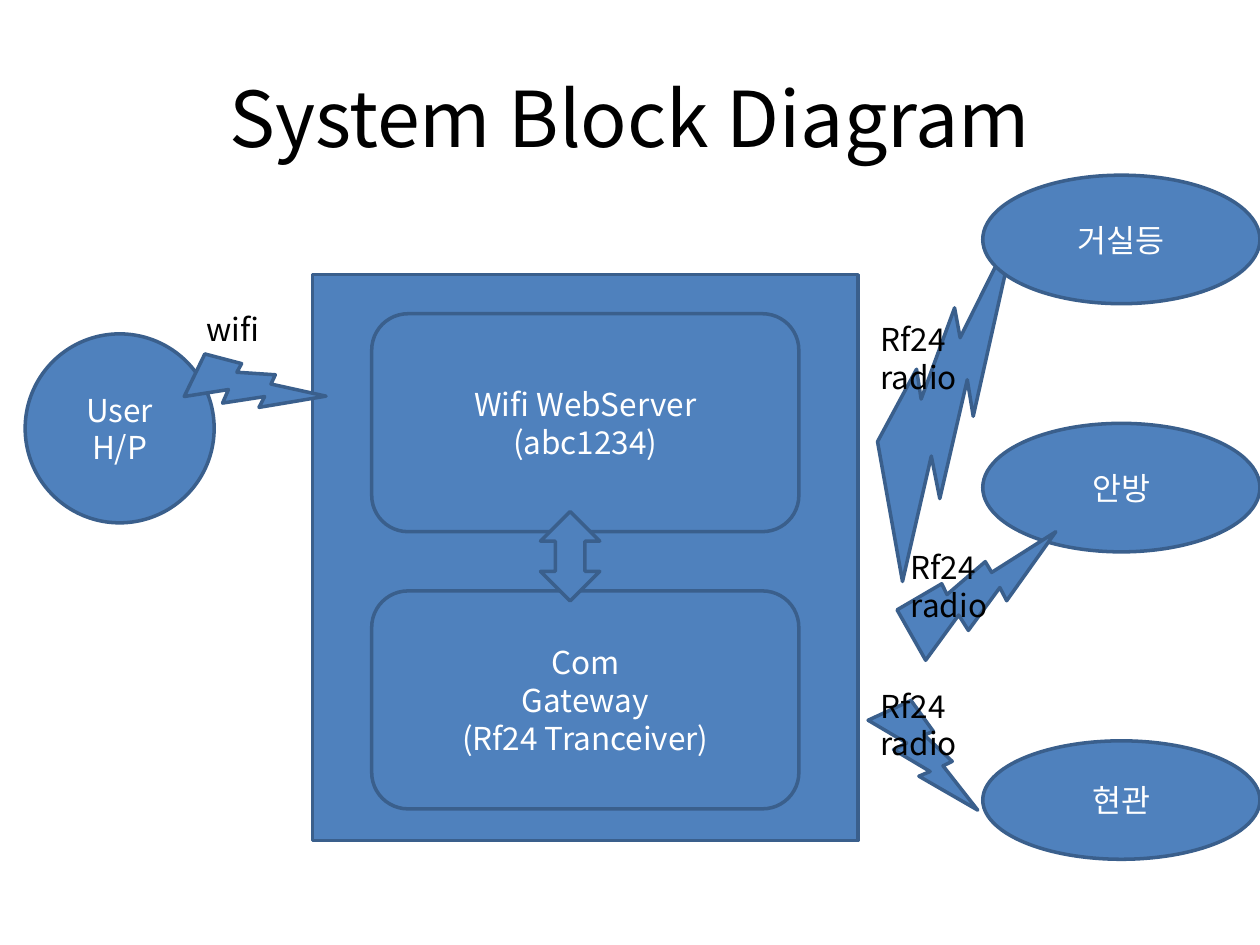
from dataclasses import dataclass

from lxml.etree import SubElement
from pptx import Presentation
from pptx.dml.color import RGBColor
from pptx.enum.shapes import MSO_SHAPE
from pptx.enum.text import MSO_ANCHOR, MSO_AUTO_SIZE, PP_ALIGN
from pptx.oxml.ns import qn
from pptx.util import Pt


@dataclass(frozen=True)
class Theme:
    """Colours, font and sizes of the diagram."""
    font: str = "Noto Sans CJK KR"
    fill: RGBColor = RGBColor(0x4F, 0x81, 0xBD)
    line: RGBColor = RGBColor(0x3A, 0x5F, 0x8C)
    dark: RGBColor = RGBColor(0, 0, 0)
    light: RGBColor = RGBColor(0xFF, 0xFF, 0xFF)
    title_size: int = 44
    body_size: int = 18
    line_width: int = 2


THEME = Theme()


def set_all(target, values):
    """Set each attribute named in values."""
    for name, value in values.items():
        setattr(target, name, value)


def inside(box, part):
    """Shift a part (left, top, width, height) by the corner of its box."""
    return box[0] + part[0], box[1] + part[1], part[2], part[3]


def write(shape, lines, color, size=THEME.body_size, align=PP_ALIGN.CENTER,
          anchor=MSO_ANCHOR.MIDDLE):
    """Write one paragraph per line."""
    frame = shape.text_frame
    set_all(frame, {"word_wrap": True, "vertical_anchor": anchor})
    for index, line in enumerate(lines):
        para = frame.add_paragraph() if index else frame.paragraphs[0]
        para.alignment = align
        span = para.add_run()
        span.text = line
        set_all(span.font, {"name": THEME.font, "size": Pt(size), "bold": False})
        span.font.color.rgb = color
        SubElement(span.font._element, qn("a:ea"), typeface=THEME.font)


def add_block(page, kind, box, lines=(), rotation=0):
    """Add a filled, outlined shape with centred text."""
    block = page.shapes.add_shape(kind, *map(Pt, box))
    block.rotation = rotation
    block.shadow.inherit = False
    block.fill.solid()
    block.fill.fore_color.rgb = THEME.fill
    block.line.color.rgb = THEME.line
    block.line.width = Pt(THEME.line_width)
    write(block, lines, THEME.light)


def add_label(page, box, lines):
    """Add dark text beside a radio link."""
    label = page.shapes.add_textbox(*map(Pt, box))
    write(label, lines, THEME.dark, align=PP_ALIGN.LEFT, anchor=MSO_ANCHOR.TOP)
    label.text_frame.auto_size = MSO_AUTO_SIZE.SHAPE_TO_FIT_TEXT


def add_title(page, box, text):
    """Place and fill the title placeholder."""
    title = page.shapes.title
    set_all(title, dict(zip(("left", "top", "width", "height"), map(Pt, box))))
    write(title, [text], THEME.dark, THEME.title_size)


def add_gateway(page, box):
    """Draw the gateway: two modules joined by an arrow."""
    add_block(page, MSO_SHAPE.RECTANGLE, box)
    modules = ((180.72, ["Com", "Gateway", "(Rf24 Tranceiver)"]),
               (22.32, ["Wifi WebServer", "(abc1234)"]))
    for top, lines in modules:
        add_block(page, MSO_SHAPE.ROUNDED_RECTANGLE,
                  inside(box, (33.84, top, 244.08, 124.56)), lines)
    add_block(page, MSO_SHAPE.UP_DOWN_ARROW,
              inside(box, (130.32, 135.36, 33.84, 51.12)))


def add_node(page, box, name, oval, bolt, rotation, label, link, bolt_behind=False):
    """Draw an oval node, its radio bolt and the link label."""
    parts = [(MSO_SHAPE.OVAL, inside(box, oval), name),
             (MSO_SHAPE.LIGHTNING_BOLT, inside(box, bolt), (), rotation)]
    for part in reversed(parts) if bolt_behind else parts:
        add_block(page, *part)
    add_label(page, inside(box, label), link)


def build():
    """Build and save the deck."""
    deck = Presentation()
    set_all(deck, {"slide_width": Pt(720), "slide_height": Pt(540)})
    page = deck.slides.add_slide(deck.slide_layouts[5])
    add_title(page, (36, 21.6, 648, 90), "System Block Diagram")
    add_gateway(page, (178.56, 156.96, 311.76, 323.28))
    add_node(page, (14.4, 173.52), ["User", "H/P"], (0, 17.28, 108, 108),
             (96.48, 17.28, 62.64, 62.64), 320.5, (96.48, 0, 73.44, 28.8), ["wifi"])

    # top, name, oval top, oval height, bolt, rotation, label corner, bolt behind
    rooms = (
        (100.08, "거실등", 0, 73.44, (-56.88, 90.72, 203.76, 79.2), 270, (0, 79.2), True),
        (241.92, "안방", 0, 73.44, (25.2, 53.28, 73.44, 90.72), 270, (17.28, 67.68), False),
        (388.8, "현관", 34.56, 67.68, (0, 11.52, 62.64, 62.64), 0, (0, 0), False),
    )
    for top, name, oval_top, height, bolt, rotation, corner, behind in rooms:
        add_node(page, (496.08, top), [name], (65.52, oval_top, 158.4, height), bolt,
                 rotation, (*corner, 73.44, 51.12), ["Rf24", "radio"], behind)
    deck.save("out.pptx")


build()
